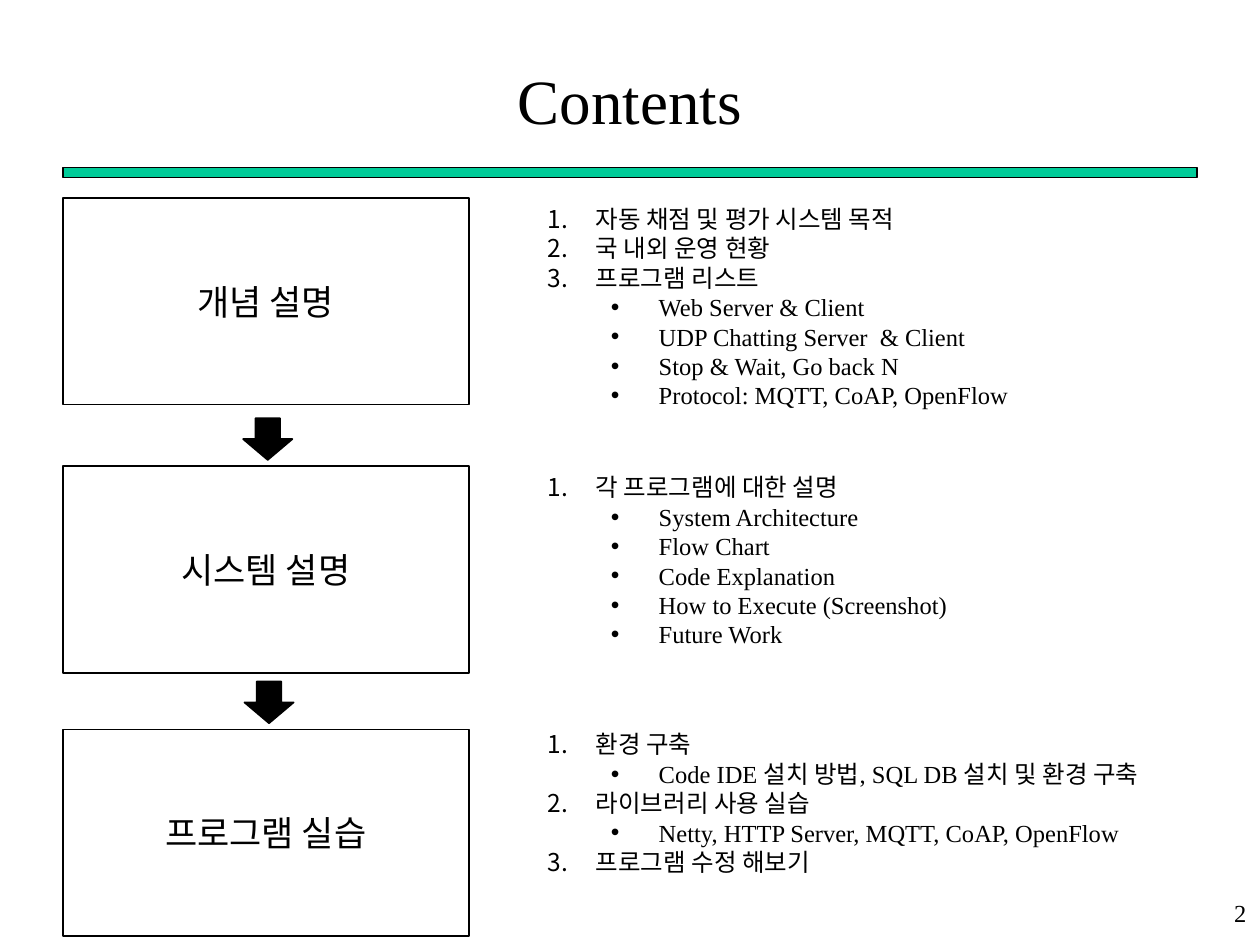
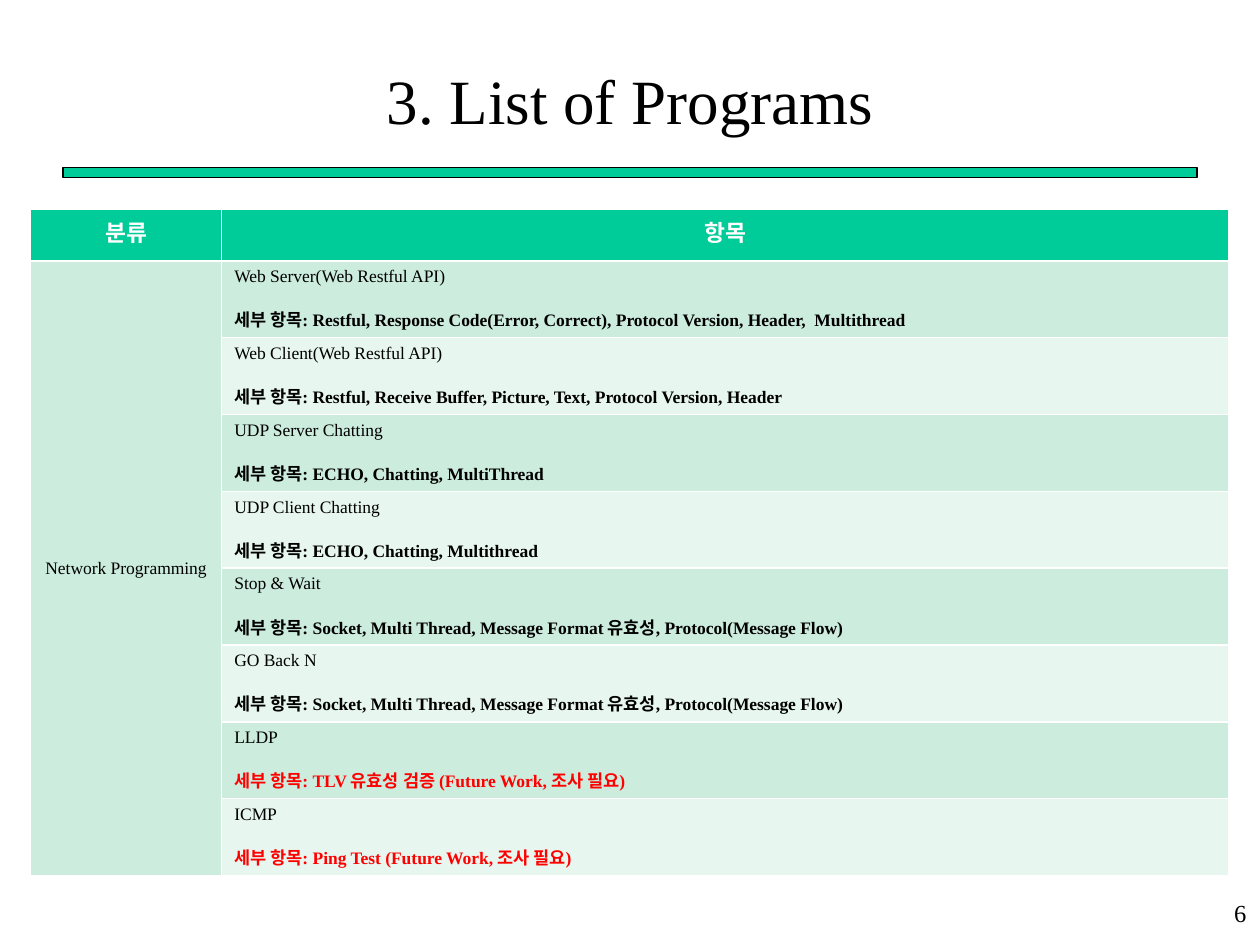
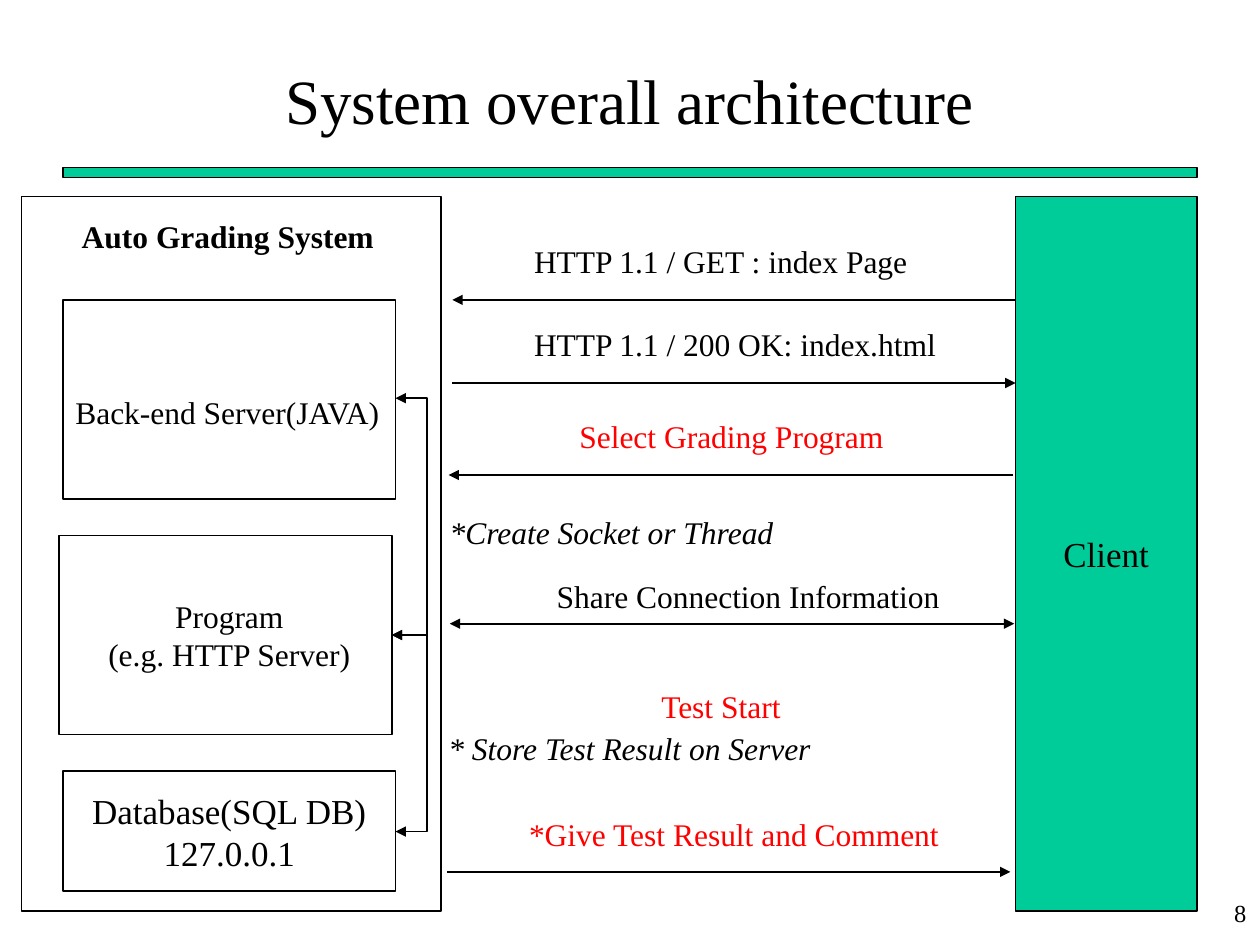
from lxml import etree
from pptx import Presentation
from pptx.dml.color import RGBColor
from pptx.enum.shapes import MSO_CONNECTOR, MSO_SHAPE
from pptx.enum.text import MSO_ANCHOR, MSO_AUTO_SIZE, PP_ALIGN
from pptx.oxml.ns import qn
from pptx.util import Inches, Pt

LEFT, CENTER, RIGHT = PP_ALIGN.LEFT, PP_ALIGN.CENTER, PP_ALIGN.RIGHT
TOP, MIDDLE = MSO_ANCHOR.TOP, MSO_ANCHOR.MIDDLE
RECT, DOWN_ARROW = MSO_SHAPE.RECTANGLE, MSO_SHAPE.DOWN_ARROW
STRAIGHT, ELBOW = MSO_CONNECTOR.STRAIGHT, MSO_CONNECTOR.ELBOW
GROW = MSO_AUTO_SIZE.SHAPE_TO_FIT_TEXT

WIDTH, HEIGHT = 10, 7.5
MARGIN = 0.5
FONT = "Times New Roman"
BLACK, WHITE, RED, GREEN = "000000", "FFFFFF", "FF0000", "00CC99"
BANDS = ("CCECDE", "E7F6EF")
TITLE_ONLY = 5

STAGE_SIZE = (3.22, 1.64)
ARROW_SIZE = (0.39, 0.33)
STAGE_ARROWS = [(1.93, 3.32), (1.94, 5.41)]
STAGES = [
    ("개념 설명", 1.57, 1.57, [
        (0, "자동 채점 및 평가 시스템 목적"),
        (0, "국 내외 운영 현황"),
        (0, "프로그램 리스트"),
        (1, "Web Server & Client"),
        (1, "UDP Chatting Server  & Client"),
        (1, "Stop & Wait, Go back N"),
        (1, "Protocol: MQTT, CoAP, OpenFlow"),
    ]),
    ("시스템 설명", 3.7, 3.7, [
        (0, "각 프로그램에 대한 설명"),
        (1, "System Architecture"),
        (1, "Flow Chart"),
        (1, "Code Explanation"),
        (1, "How to Execute (Screenshot)"),
        (1, "Future Work"),
    ]),
    ("프로그램 실습", 5.79, 5.74, [
        (0, "환경 구축"),
        (1, "Code IDE 설치 방법, SQL DB 설치 및 환경 구축"),
        (0, "라이브러리 사용 실습"),
        (1, "Netty, HTTP Server, MQTT, CoAP, OpenFlow"),
        (0, "프로그램 수정 해보기"),
    ]),
]

TABLE_HEADS = ("분류", "항목")
CATEGORY = "Network Programming"
DETAIL_LABEL = "세부 항목: "
PROGRAMS = [
    ("Web Server(Web Restful API)",
     "Restful, Response Code(Error, Correct), Protocol Version, Header,  Multithread", BLACK),
    ("Web Client(Web Restful API)",
     "Restful, Receive Buffer, Picture, Text, Protocol Version, Header", BLACK),
    ("UDP Server Chatting", "ECHO, Chatting, MultiThread", BLACK),
    ("UDP Client Chatting", "ECHO, Chatting, Multithread", BLACK),
    ("Stop & Wait",
     "Socket, Multi Thread, Message Format 유효성, Protocol(Message Flow)", BLACK),
    ("GO Back N",
     "Socket, Multi Thread, Message Format 유효성, Protocol(Message Flow)", BLACK),
    ("LLDP", "TLV 유효성 검증 (Future Work, 조사 필요)", RED),
    ("ICMP", "Ping Test (Future Work, 조사 필요)", RED),
]
COLUMN_WIDTHS = (1.52, 7.99)
HEAD_HEIGHT, PROGRAM_HEIGHT = 0.41, 0.61

SYSTEM_BOXES = [
    ((0.17, 1.56, 3.33, 5.67), None, []),
    ((8.06, 1.56, 1.44, 5.67), GREEN, ["Client"]),
    ((0.5, 2.38, 2.64, 1.58), None, []),
    ((0.47, 4.25, 2.64, 1.58), None, []),
    ((0.5, 6.12, 2.64, 0.95), None, ["Database(SQL DB)", "127.0.0.1"]),
]
SYSTEM_LABELS = [
    ((0.55, 1.67, 2.61, 0.4), ["Auto Grading System"], {"bold": True}),
    ((0.5, 3.07, 2.64, 0.19), ["Back-end Server(JAVA)"], {}),
    ((0.75, 4.69, 2.14, 0.71), ["Program", "(e.g. HTTP Server)"], {"align": CENTER}),
    ((4.14, 1.87, 3.2, 0.4), ["HTTP 1.1 / GET : index Page"], {}),
    ((4.14, 2.53, 3.43, 0.4), ["HTTP 1.1 / 200 OK: index.html"], {}),
    ((4.5, 3.26, 2.64, 0.4), ["Select Grading Program"], {"color": RED}),
    ((3.47, 4.02, 2.78, 0.4), ["*Create Socket or Thread"], {"italic": True}),
    ((4.32, 4.53, 3.27, 0.4), ["Share Connection Information"], {}),
    ((5.15, 5.4, 1.16, 0.4), ["Test Start"], {"color": RED}),
    ((3.46, 5.74, 3.11, 0.4), ["* Store Test Result on Server"], {"italic": True}),
    ((4.1, 6.42, 3.49, 0.4), ["*Give Test Result and Comment"], {"color": RED}),
]
TO_SERVER, TO_CLIENT, BOTH = ("headEnd",), ("tailEnd",), ("headEnd", "tailEnd")
MESSAGES = [
    (3.59, 8.06, 2.38, TO_SERVER),
    (3.59, 8.06, 3.04, TO_CLIENT),
    (3.56, 8.04, 3.77, TO_SERVER),
    (3.57, 8.05, 4.95, BOTH),
    (3.55, 8.02, 6.92, TO_CLIENT),
]
BUS = 3.39
BUS_STOPS = [(3.14, 3.16), (3.11, 5.04), (3.14, 6.6)]


def rgb(value):
    return RGBColor.from_string(value)


def inches(values):
    return [Inches(value) for value in values]


def write(frame, lines, size, color=BLACK, align=LEFT, **formats):
    for index, line in enumerate(lines):
        para = frame.paragraphs[0] if index == 0 else frame.add_paragraph()
        para.alignment = align
        span = para.add_run()
        span.text = line
        for name, value in {"name": FONT, "size": Pt(size), **formats}.items():
            setattr(span.font, name, value)
        span.font.color.rgb = rgb(color)


def add_text(page, place, lines, size, wrap=False, **formats):
    box = page.shapes.add_textbox(*inches(place))
    box.text_frame.word_wrap = wrap
    box.text_frame.auto_size = GROW
    write(box.text_frame, lines, size, **formats)
    return box


def add_box(page, place, fill=None, lines=(), kind=RECT, line_width=1):
    box = page.shapes.add_shape(kind, *inches(place))
    box.shadow.inherit = False
    if fill:
        box.fill.solid()
        box.fill.fore_color.rgb = rgb(fill)
    else:
        box.fill.background()
    box.line.color.rgb = rgb(BLACK)
    box.line.width = Pt(line_width)
    box.text_frame.word_wrap = False
    box.text_frame.vertical_anchor = MIDDLE
    write(box.text_frame, lines, 20, align=CENTER)


def add_line(page, start, end, arrows, kind=STRAIGHT):
    line = page.shapes.add_connector(kind, *inches(start + end))
    line.line.color.rgb = rgb(BLACK)
    line.line.width = Pt(1)
    outline = line.line._get_or_add_ln()
    for arrow in arrows:
        etree.SubElement(outline, qn("a:" + arrow), type="triangle")
    etree.SubElement(line._element.spPr, qn("a:effectLst"))
    return line


def bend_at(line, share):
    geometry = line._element.spPr.find(qn("a:prstGeom"))
    guides = geometry.find(qn("a:avLst"))
    if guides is None:
        guides = etree.SubElement(geometry, qn("a:avLst"))
    etree.SubElement(guides, qn("a:gd"), name="adj1", fmla=f"val {round(share * 100000)}")


def set_bullet(para, level):
    para.level = level
    properties = para._p.get_or_add_pPr()
    properties.set("marL", str(Inches(0.38 + MARGIN * level)))
    properties.set("indent", str(-Inches(0.38)))
    if level:
        etree.SubElement(properties, qn("a:buFont"), typeface="Arial")
        etree.SubElement(properties, qn("a:buChar"), char="•")
    else:
        etree.SubElement(properties, qn("a:buAutoNum"), type="arabicPeriod")


def add_page(deck, title, number):
    page = deck.slides.add_slide(deck.slide_layouts[TITLE_ONLY])
    heading = page.shapes.title
    place = inches((MARGIN, 0.33, WIDTH - 2 * MARGIN, 0.92))
    for name, value in zip(("left", "top", "width", "height"), place):
        setattr(heading, name, value)
    heading.text_frame.vertical_anchor = MIDDLE
    write(heading.text_frame, [title], 36, align=CENTER)
    add_box(page, (MARGIN, 1.33, WIDTH - 2 * MARGIN, 0.08), GREEN, line_width=0.75)
    add_text(page, (7.91, 7.08, 2.08, 0.42), [str(number)], 14, wrap=True, align=RIGHT)
    return page


def build_contents(deck):
    page = add_page(deck, "Contents", 2)
    for name, box_top, list_top, items in STAGES:
        add_box(page, (MARGIN, box_top, *STAGE_SIZE), lines=[name])
        box = add_text(page, (4.25, list_top, 5, 0.1 + 0.235 * len(items)),
                       [text for _, text in items], 14, wrap=True)
        for para, (level, _) in zip(box.text_frame.paragraphs, items):
            set_bullet(para, level)
    for corner in STAGE_ARROWS:
        add_box(page, corner + ARROW_SIZE, BLACK, kind=DOWN_ARROW)


def fill_cell(cell, fill, anchor=TOP):
    cell.fill.solid()
    cell.fill.fore_color.rgb = rgb(fill)
    cell.vertical_anchor = anchor


def build_programs(deck):
    page = add_page(deck, "3. List of Programs", 6)
    heights = [HEAD_HEIGHT] + [PROGRAM_HEIGHT] * len(PROGRAMS)
    place = inches((0.24, 1.66, sum(COLUMN_WIDTHS), sum(heights)))
    table = page.shapes.add_table(len(heights), len(COLUMN_WIDTHS), *place).table
    for column, width in zip(table.columns, COLUMN_WIDTHS):
        column.width = Inches(width)
    for row, height in zip(table.rows, heights):
        row.height = Inches(height)
    for index, head in enumerate(TABLE_HEADS):
        cell = table.cell(0, index)
        fill_cell(cell, GREEN)
        write(cell.text_frame, [head], 13, WHITE, CENTER, bold=True)
    category = table.cell(1, 0)
    category.merge(table.cell(len(PROGRAMS), 0))
    fill_cell(category, BANDS[0], MIDDLE)
    write(category.text_frame, [CATEGORY], 10, align=CENTER)
    for index, (name, detail, color) in enumerate(PROGRAMS):
        cell = table.cell(index + 1, 1)
        fill_cell(cell, BANDS[index % 2])
        write(cell.text_frame, [name, DETAIL_LABEL + detail], 10)
        para = cell.text_frame.paragraphs[1]
        para.space_before = Pt(11.5)
        para.runs[0].font.bold = True
        para.runs[0].font.color.rgb = rgb(color)


def build_architecture(deck):
    page = add_page(deck, "System overall architecture", 8)
    for place, fill, lines in SYSTEM_BOXES:
        add_box(page, place, fill, lines)
    for place, lines, formats in SYSTEM_LABELS:
        add_text(page, place, lines, 18, **formats)
    for left, right, top, arrows in MESSAGES:
        add_line(page, (left, top), (right, top), arrows)
    for start, end in zip(BUS_STOPS, BUS_STOPS[1:]):
        line = add_line(page, start, end, BOTH, ELBOW)
        bend_at(line, (BUS - start[0]) / (end[0] - start[0]))


def main():
    deck = Presentation()
    deck.slide_width, deck.slide_height = inches((WIDTH, HEIGHT))
    build_contents(deck)
    build_programs(deck)
    build_architecture(deck)
    deck.save("out.pptx")


if __name__ == "__main__":
    main()
